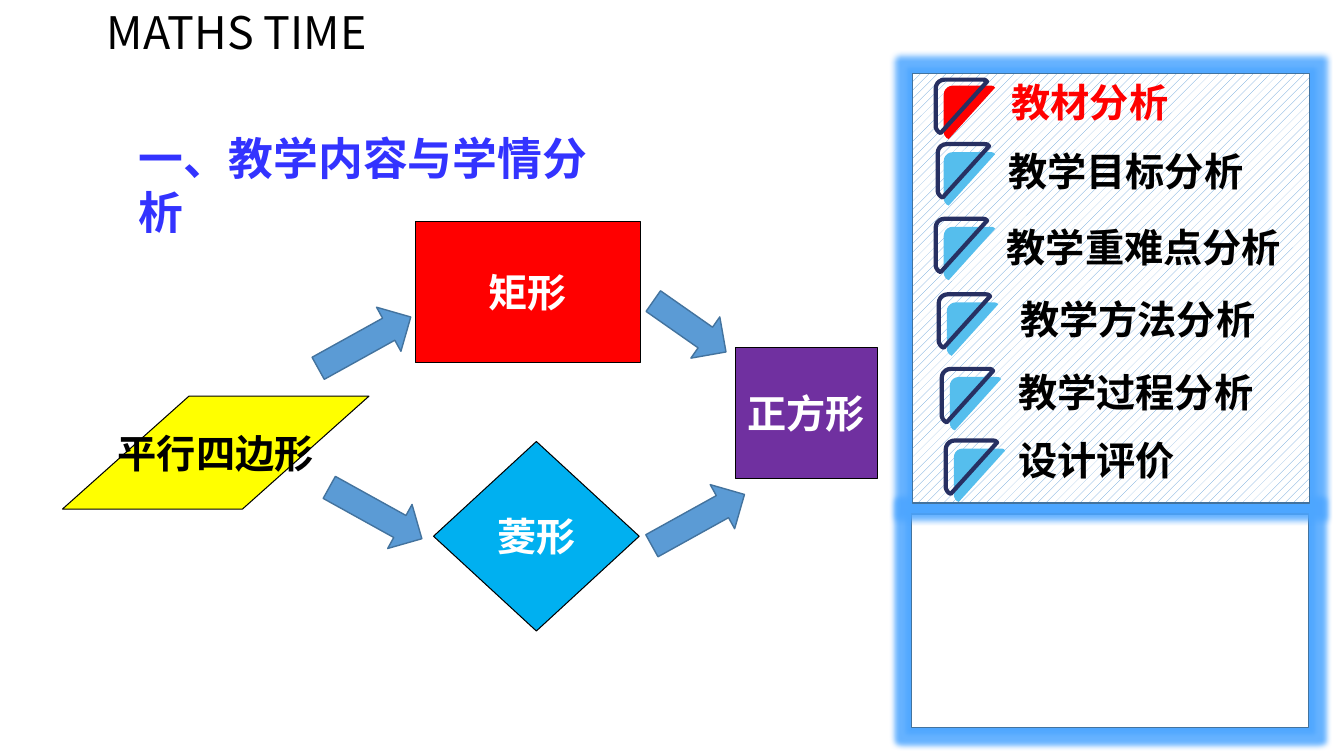
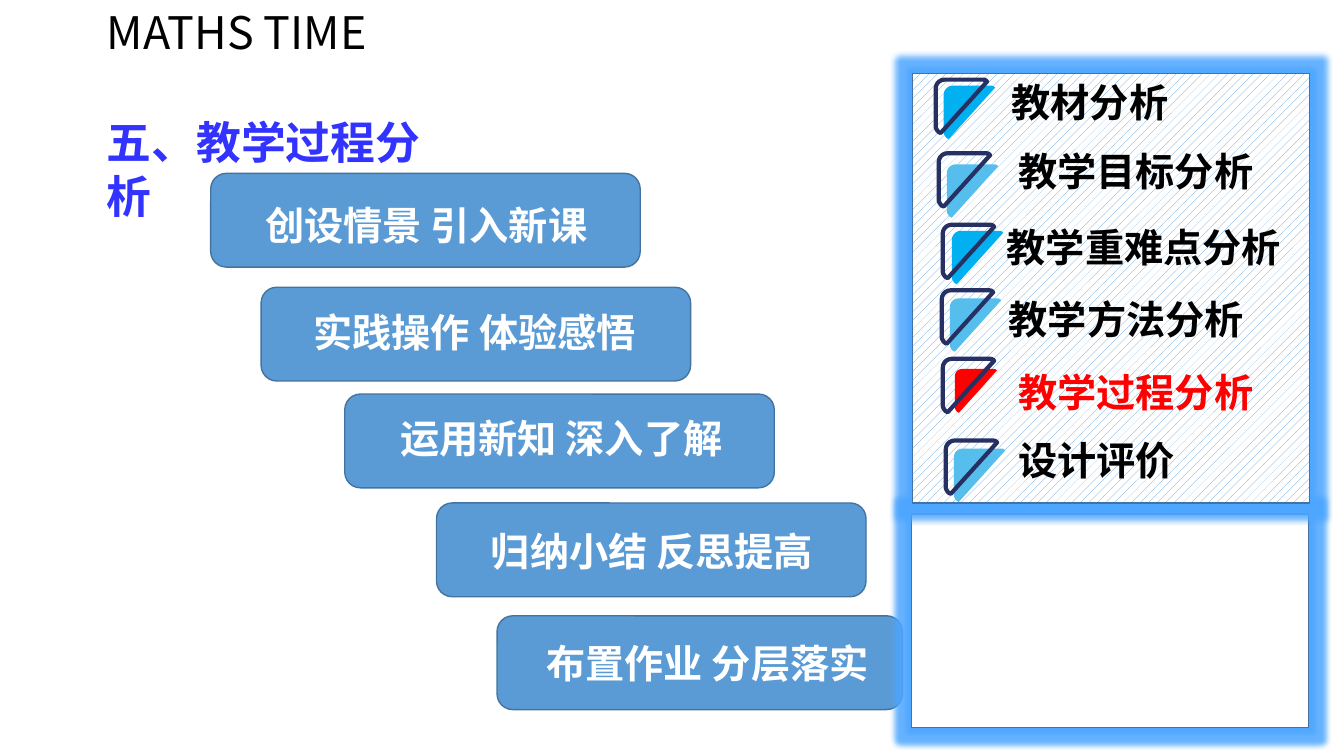
from dataclasses import dataclass

from lxml.etree import SubElement
from pptx import Presentation
from pptx.dml.color import RGBColor
from pptx.enum.dml import MSO_PATTERN
from pptx.enum.shapes import MSO_SHAPE
from pptx.enum.text import MSO_ANCHOR, PP_ALIGN
from pptx.oxml.ns import qn
from pptx.util import Inches, Pt


@dataclass(frozen=True)
class Theme:
    black: str = "000000"
    white: str = "FFFFFF"
    title: str = "3333FF"
    red: str = "FF0000"
    yellow: str = "FFFF00"
    purple: str = "7030A0"
    cyan: str = "00B0F0"
    sky: str = "55BEED"
    navy: str = "273062"
    blue: str = "5B9BD5"
    edge: str = "43739E"
    glow: str = "4DA6FF"
    latin: str = "Arial"
    cjk: str = "Noto Sans CJK SC"
    big: int = 32
    body: int = 28


T = Theme()
BRAND = "MATHS TIME"
TOPICS = ["教材分析", "教学目标分析", "教学重难点分析", "教学方法分析", "教学过程分析", "设计评价"]
TOPIC_TOPS = [0.73, 1.41, 2.17, 2.88, 3.6, 4.28]
PANELS = [(9.04, 5.1, 3.94, 2.12, False), (9.05, 0.73, 3.94, 4.26, True)]

# label left, label width, solid left, solid top, outline left, outline top, colour, solid scale
FIRST_MENU = [
    (9.52, 2.58, 9.36, 0.85, 9.28, 0.79, T.red, 1),
    (9.54, 3.25, 9.36, 1.51, 9.3, 1.43, T.sky, 1),
    (9.58, 3.53, 9.36, 2.25, 9.28, 2.17, T.sky, 1),
    (9.93, 2.71, 9.39, 3, 9.31, 2.92, T.sky, 1),
    (9.96, 2.61, 9.42, 3.74, 9.34, 3.66, T.sky, 1),
    (9.58, 2.59, 9.46, 4.45, 9.38, 4.37, T.sky, 1),
]
SECOND_MENU = [
    (9.52, 2.58, 9.36, 0.85, 9.28, 0.79, T.cyan, 1),
    (9.62, 3.29, 9.39, 1.63, 9.31, 1.52, T.sky, 1),
    (9.58, 3.53, 9.44, 2.29, 9.35, 2.23, T.cyan, 1),
    (9.7, 2.94, 9.42, 2.96, 9.34, 2.88, T.sky, 1),
    (9.96, 2.61, 9.47, 3.66, 9.35, 3.56, T.red, 0.82),
    (9.58, 2.59, 9.46, 4.45, 9.38, 4.37, T.sky, 1),
]

FIGURES = [
    ("平行四边形", MSO_SHAPE.PARALLELOGRAM, (0.62, 3.93, 3.04, 1.12), T.yellow, T.black),
    ("矩形", MSO_SHAPE.RECTANGLE, (4.12, 2.2, 2.23, 1.4), T.red, T.white),
    ("菱形", MSO_SHAPE.DIAMOND, (4.3, 4.38, 2.04, 1.88), T.cyan, T.white),
    ("正方形", MSO_SHAPE.RECTANGLE, (7.29, 3.45, 1.41, 1.3), T.purple, T.white),
]
ARROWS = [
    ((3.09, 3.15, 1.05, 0.5), 331),
    ((3.2, 4.84, 1.05, 0.5), 29),
    ((6.4, 2.99, 0.88, 0.5), 35),
    ((6.4, 4.91, 1.05, 0.5), 331),
]
# text, card left, card top, card width, text left, text top
STEPS = [
    ("创设情景 引入新课", 2.09, 1.72, 4.26, 2.3, 1.95),
    ("实践操作 体验感悟", 2.59, 2.85, 4.26, 2.78, 3.01),
    ("运用新知 深入了解", 3.42, 3.91, 4.26, 3.64, 4.06),
    ("归纳小结 反思提高", 4.33, 4.99, 4.26, 4.54, 5.18),
    ("布置作业 分层落实", 4.93, 6.11, 4.02, 5.09, 6.29),
]
# rounded triangle: two-number entries are corners, six-number entries are curves
TRIANGLE = [
    (0.09, 0), (0.46, 0), (0.47, 0, 0.49, 0, 0.5, 0.01), (0.51, 0.02), (0.05, 0.53),
    (0.03, 0.52), (0.01, 0.5, 0, 0.48, 0, 0.46), (0, 0.09), (0, 0.04, 0.04, 0, 0.09, 0),
]


def rgb(value):
    return RGBColor.from_string(value)


def write(shape, text, size, color, font=T.cjk, bold=True, align=PP_ALIGN.LEFT, wrap=True):
    tf = shape.text_frame
    tf.word_wrap = wrap
    p = tf.paragraphs[0]
    p.text = text
    p.alignment = align
    r = p.runs[0]
    r.font.size, r.font.bold, r.font.name = Pt(size), bold, font
    r.font.color.rgb = rgb(color)
    SubElement(r.font._element, qn("a:ea"), typeface=T.cjk)
    return tf


def add_text(s, box, text, size, color, **style):
    return write(s.shapes.add_textbox(*map(Inches, box)), text, size, color, **style)


def paint(sp, fill=None, line=None, width=1):
    sp.shadow.inherit = False
    if fill:
        sp.fill.solid()
        sp.fill.fore_color.rgb = rgb(fill)
    else:
        sp.fill.background()
    if line:
        sp.line.color.rgb = rgb(line)
        sp.line.width = Pt(width)
    else:
        sp.line.fill.background()
    return sp


def add_preset(s, kind, box, fill, line=T.edge, width=1):
    return paint(s.shapes.add_shape(kind, *map(Inches, box)), fill, line, width)


def triangle_points():
    points = []
    for entry in TRIANGLE:
        if len(entry) == 2:
            points.append(entry)
            continue
        start, ends = points[-1], (entry[:2], entry[2:4], entry[4:])
        for t in (0.2, 0.4, 0.6, 0.8, 1):
            weights = ((1 - t) ** 3, 3 * t * (1 - t) ** 2, 3 * t * t * (1 - t), t ** 3)
            points.append(tuple(sum(w * c[i] for w, c in zip(weights, (start, *ends))) for i in (0, 1)))
    return points


def add_triangle(s, left, top, scale=1, **style):
    points = [((left + x * scale) * 1000, (top + y * scale) * 1000) for x, y in triangle_points()]
    builder = s.shapes.build_freeform(*points[0], scale=Inches(1) / 1000)
    builder.add_line_segments(points[1:], close=True)
    paint(builder.convert_to_shape(), **style)


def add_panel(s, left, top, width, height, dotted):
    sp = add_preset(s, MSO_SHAPE.RECTANGLE, (left, top, width, height), T.white)
    if dotted:
        sp.fill.patterned()
        sp.fill.pattern = MSO_PATTERN.PERCENT_20
        sp.fill.fore_color.rgb = rgb(T.blue)
        sp.fill.back_color.rgb = rgb(T.white)
    effects = sp._element.spPr.find(qn("a:effectLst"))
    glow = SubElement(effects, qn("a:glow"), rad=str(Pt(8)))
    color = SubElement(glow, qn("a:srgbClr"), val=T.glow)
    SubElement(color, qn("a:alpha"), val="85000")


def add_menu(s, menu):
    for panel in PANELS:
        add_panel(s, *panel)
    for topic, top, row in zip(TOPICS, TOPIC_TOPS, menu):
        left, width, solid_x, solid_y, line_x, line_y, color, scale = row
        add_triangle(s, solid_x, solid_y, scale, fill=color)
        add_triangle(s, line_x, line_y, line=T.navy, width=3)
        add_text(s, (left, top, width, 0.57), topic, T.body,
                 T.red if color == T.red else T.black, align=PP_ALIGN.CENTER)


def start_slide(prs, title, box):
    s = prs.slides.add_slide(prs.slide_layouts[6])
    add_text(s, (0.96, 0, 3.02, 0.64), BRAND, T.big, T.black, bold=False)
    add_text(s, box, title, T.big, T.title)
    return s


def add_content_slide(prs):
    s = start_slide(prs, "一、教学内容与学情分析", (1.28, 1.25, 5, 0.64))
    for text, kind, box, fill, color in FIGURES:
        sp = add_preset(s, kind, box, fill, T.black, 0.75)
        if kind == MSO_SHAPE.PARALLELOGRAM:
            sp.adjustments[0] = 1.12
        tf = write(sp, text, T.body, color, font=T.latin, align=PP_ALIGN.CENTER, wrap=False)
        tf.vertical_anchor = MSO_ANCHOR.MIDDLE
    for box, angle in ARROWS:
        add_preset(s, MSO_SHAPE.RIGHT_ARROW, box, T.blue).rotation = angle
    add_menu(s, FIRST_MENU)


def add_process_slide(prs):
    s = start_slide(prs, "五、教学过程分析", (0.96, 1.09, 3.7, 0.64))
    for text, left, top, width, text_left, text_top in STEPS:
        add_preset(s, MSO_SHAPE.ROUNDED_RECTANGLE, (left, top, width, 0.93), T.blue)
        tf = add_text(s, (text_left, text_top, 3.83, 0.57), text, T.body, T.white, font=T.latin)
        tf.margin_left = Inches(0.33)
    add_menu(s, SECOND_MENU)


def main():
    prs = Presentation()
    prs.slide_width, prs.slide_height = Inches(13.33), Inches(7.5)
    add_content_slide(prs)
    add_process_slide(prs)
    prs.save("out.pptx")


if __name__ == "__main__":
    main()
